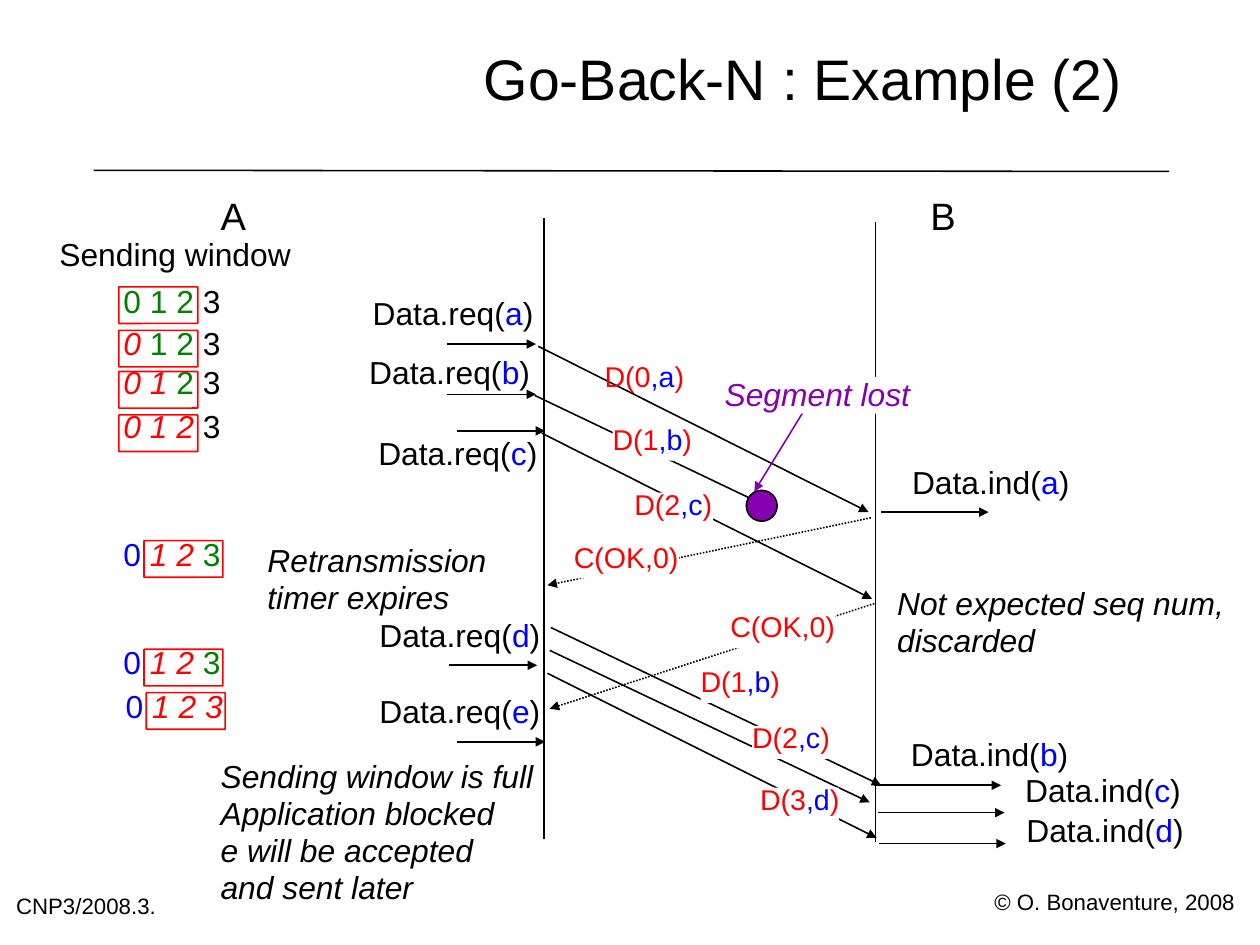
from itertools import groupby
from lxml.etree import SubElement as Sub
from pptx import Presentation
from pptx.dml.color import RGBColor
from pptx.enum.dml import MSO_LINE as Dash
from pptx.enum.shapes import MSO_CONNECTOR as Conn, MSO_SHAPE as Kind
from pptx.enum.text import MSO_ANCHOR as Anchor, PP_ALIGN as Align
from pptx.oxml.ns import qn
from pptx.util import Inches, Pt

# All places are columns and rows of a grid with cells of 0.1 inch
CELL = Inches(0.1)
FONT = "Arial"
BLACK, WHITE, RED = "000000", "FFFFFF", "FF0000"
GREEN, BLUE, VIOLET = "008000", "0000FF", "8500AF"

# Plain labels: text, left, top, width, size
PLAIN = [
    ("© O. Bonaventure, 2008", 87, 78.1, 22, 14),
    ("CNP3/2008.3.", 1.4, 78.4, 16.8, 14),
    ("A\tB", 19.3, 17.5, 64.7, 24),
    ("Sending window", 5.2, 21.1, 22, 20),
]
TAB = 62.1
# Remarks: paragraphs, left, top, width, height, colour, fill
NOTES = [
    (["Segment lost"], 63.4, 33, 16.4, 3.2, VIOLET, WHITE),
    (["Not expected seq num,", "discarded"],
     78.5, 51.3, 30, 6.5, BLACK, None),
    (["Retransmission", "timer expires"],
     23.4, 47.5, 21, 6.5, BLACK, None),
    (["Sending window is full\nApplication blocked",
      "e will be accepted\nand sent later"],
     19.3, 66.4, 28.5, 12.9, BLACK, None),
]
# Sending window: left, text top, box top, first in window, next to send
STATES = [
    (10.8, 25.2, 25.1, 0, 0), (10.8, 28.9, 28.9, 0, 1),
    (10.8, 32.3, 32.5, 0, 2), (10.8, 36.1, 36.3, 0, 3),
    (10.8, 47.3, 47.3, 1, 3), (10.8, 56.8, 56.8, 1, 3),
    (11, 60.6, 60.6, 1, 4),
]
SEATS, LAST, STEP = 3, 3, 2.2
# Service calls: name, item, left, top, arrow left, arrow row, arrow length
CALLS = [
    ("req", "a", 32.6, 26.2, 39.1, 30.1, 7.8),
    ("req", "b", 32.3, 31.4, 39.1, 34.5, 7.8),
    ("req", "c", 33.1, 38.5, 40, 37.7, 7.7),
    ("req", "d", 33.2, 54.4, 39.3, 58.2, 7.7),
    ("req", "e", 33.2, 61.1, 40, 64.9, 7.7),
    ("ind", "a", 79.8, 41, 77.1, 44.8, 9.4),
    ("ind", "b", 79.7, 64.8, 76.5, 68.7, 11.1),
    ("ind", "c", 89.7, 68, 76.8, 71.1, 11.1),
    ("ind", "d", 89.8, 71.5, 76.9, 73.8, 11.1),
]
# Segments: number, item, label place, arrow ends, patch behind the label
DATA = [
    (0, "a", (52.9, 31.9), (47.1, 30.3, 76, 44.8), False),
    (1, "b", (53.6, 37.4), (46.8, 34.6, 66.9, 44.2), True),
    (2, "c", (55.5, 43.1), (47.4, 37.9, 76.3, 52.4), True),
    (1, "b", (61.3, 58.6), (48.2, 54.9, 77.1, 68.7), True),
    (2, "c", (65.8, 63.5), (48.1, 56.9, 76.1, 70.2), True),
    (3, "d", (66.5, 68.9), (47.9, 58.9, 76.7, 73.3), True),
]
# Acknowledgements: label place, arrow ends
ACKS = [
    ((50.2, 47.7), (76.2, 45.3, 47.9, 51.2)),
    ((63.9, 53.8), (76.5, 52.8, 48.1, 62)),
]
RULE = (8.2, 14.9, 102.3, 15)
LIVES = [(47.6, 19.1, 47.6, 73.4), (76.6, 19.4, 76.6, 73.7)]
LOSS = (70.3, 36, 66, 43)

deck = Presentation()
deck.slide_width, deck.slide_height = Pt(793.75), Pt(595.25)
slide = deck.slides.add_slide(deck.slide_layouts[6])
shapes = slide.shapes


def grid(*nums):
    return [round(n * CELL) for n in nums]


def paint(part, tint):
    part.solid()
    part.fore_color.rgb = RGBColor.from_string(tint)


def line(ends, tint=BLACK, head=True, dots=False):
    con = shapes.add_connector(Conn.STRAIGHT, *grid(*ends))
    paint(con.line.fill, tint)
    con.line.width = Pt(1)
    if dots:
        con.line.dash_style = Dash.ROUND_DOT
    if head:
        Sub(con.line._get_or_add_ln(), qn("a:tailEnd"), type="triangle")
    Sub(con._element.spPr, qn("a:effectLst"))


def block(kind, spot, fill=None, edge=None):
    box = shapes.add_shape(kind, *grid(*spot))
    box.shadow.inherit = False
    if fill:
        paint(box.fill, fill)
    else:
        box.fill.background()
    if edge:
        paint(box.line.fill, edge)
        box.line.width = Pt(1)
    else:
        box.line.fill.background()
    return box


def write(rows, spot, size=20, gap=0.84, align=Align.LEFT,
          anchor=Anchor.TOP, fill=None):
    """Each row is a list of runs: (text, colour, italic)."""
    box = shapes.add_textbox(*grid(*spot))
    if fill:
        paint(box.fill, fill)
    frame = box.text_frame
    frame.margin_left = frame.margin_right = 0
    frame.margin_top = frame.margin_bottom = 0
    frame.word_wrap = True
    frame.vertical_anchor = anchor
    for i, runs in enumerate(rows):
        para = frame.add_paragraph() if i else frame.paragraphs[0]
        para.line_spacing, para.alignment = gap, align
        for text, tint, slant in runs:
            if "\t" in text:
                tabs = Sub(para._p.get_or_add_pPr(), qn("a:tabLst"))
                Sub(tabs, qn("a:tab"), pos=str(grid(TAB)[0]), algn="l")
            for j, part in enumerate(text.split("\n")):
                if j:
                    para.add_line_break()
                run = para.add_run()
                run.text = part
                font = run.font
                font.name, font.size, font.italic = FONT, Pt(size), slant
                font.color.rgb = RGBColor.from_string(tint)


def item(start, mid, tint):
    return [(start, tint, False), (mid, BLUE, False), (")", tint, False)]


# Title, rule and plain labels
write([[("Go-Back-N : Example (2)", BLACK, False)]], (37.3, 0, 65.9, 14.6),
      36, align=Align.CENTER, anchor=Anchor.MIDDLE)
line(RULE, head=False)
for text, x, y, w, size in PLAIN:
    write([[(text, BLACK, False)]], (x, y, w, 3), size)

# Time lines, then every arrow
for ends in LIVES:
    line(ends, head=False)
for _, _, _, ends, _ in DATA:
    line(ends)
for _, ends in ACKS:
    line(ends, dots=True)
for _, _, _, _, x, y, size in CALLS:
    line((x, y, x + size, y))

# Arrow labels, most on a white patch
for num, name, (x, y), _, patch in DATA:
    if patch:
        block(Kind.RECTANGLE, (x, y, 6.9, 2.9), WHITE)
    write([item(f"D({num}", f",{name}", RED)], (x, y, 7.2, 2.5), 18)
for (x, y), _ in ACKS:
    block(Kind.RECTANGLE, (x, y, 9.2, 2.9), WHITE)
    write([[("C(OK,0)", RED, False)]], (x, y, 9.5, 2.5), 18)
for kind, name, x, y, *_ in CALLS:
    write([item(f"Data.{kind}(", name, BLACK)], (x, y, 14.5, 2.8))

# Lost segment and remarks
line(LOSS, VIOLET)
block(Kind.OVAL, (65.3, 42.9, 2.7, 2.7), VIOLET, BLACK)
for rows, x, y, w, h, tint, fill in NOTES:
    write([[(row, tint, True)] for row in rows], (x, y, w, h),
          gap=0.97, fill=fill)


# Sending window: done, sent, free to send, outside
def style(num, base, nxt):
    if num < base:
        return BLUE, False
    if num < nxt:
        return RED, True
    return (GREEN if num < base + SEATS else BLACK), False


for x, y, top, base, nxt in STATES:
    runs = []
    for (tint, slant), nums in groupby(range(LAST + 1),
                                       lambda n: style(n, base, nxt)):
        text = "".join(f"{n} " if n < LAST else str(n) for n in nums)
        runs.append((text, tint, slant))
    write([runs], (x, y, 9.3, 2.8))
    frame = block(Kind.ROUNDED_RECTANGLE,
                  (x - 0.4 + STEP * base, top, 6.9, 3.2), edge=RED)
    frame.adjustments[0] = 0.01

deck.save("out.pptx")
